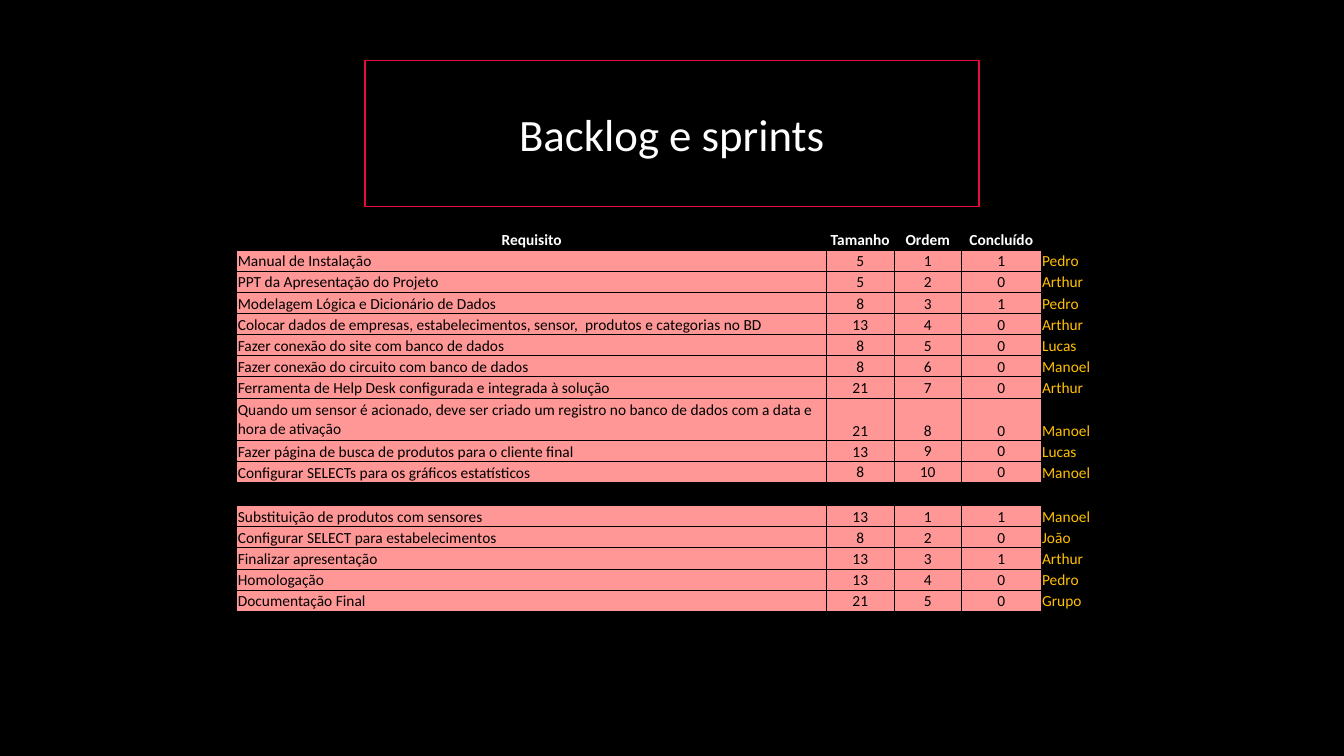
from lxml import etree
from pptx import Presentation
from pptx.dml.color import RGBColor
from pptx.enum import text
from pptx.oxml import ns
from pptx.util import Pt

BLACK = RGBColor(0x00, 0x00, 0x00)
WHITE = RGBColor(0xFF, 0xFF, 0xFF)
CRIMSON = RGBColor(0xE5, 0x0D, 0x3B)
SALMON = RGBColor(0xFF, 0x97, 0x97)
AMBER = RGBColor(0xFF, 0xC0, 0x00)
FONT = "Calibri"
ROW_HEIGHT = 15.12
COLUMN_WIDTHS = [421.2, 48.2, 48.2, 56.9, 48.2]
REQUIREMENT, OWNER = 0, 4

HEADER = ("Requisito", "Tamanho", "Ordem", "Concluído", "")
LONG_REQUIREMENT = ("Quando um sensor é acionado, deve ser criado um registro "
                    "no banco de dados com a data e hora de ativação")
FIRST_SPRINT = [
    HEADER,
    ("Manual de Instalação", 5, 1, 1, "Pedro"),
    ("PPT da Apresentação do Projeto", 5, 2, 0, "Arthur"),
    ("Modelagem Lógica e Dicionário de Dados", 8, 3, 1, "Pedro"),
    ("Colocar dados de empresas, estabelecimentos, sensor,  produtos e categorias no BD",
     13, 4, 0, "Arthur"),
    ("Fazer conexão do site com banco de dados", 8, 5, 0, "Lucas"),
    ("Fazer conexão do circuito com banco de dados", 8, 6, 0, "Manoel"),
    ("Ferramenta de Help Desk configurada e integrada à solução", 21, 7, 0, "Arthur"),
    (LONG_REQUIREMENT, 21, 8, 0, "Manoel"),
    ("Fazer página de busca de produtos para o cliente final", 13, 9, 0, "Lucas"),
    ("Configurar SELECTs para os gráficos estatísticos", 8, 10, 0, "Manoel"),
]
SECOND_SPRINT = [
    ("Substituição de produtos com sensores", 13, 1, 1, "Manoel"),
    ("Configurar SELECT para estabelecimentos", 8, 2, 0, "João"),
    ("Finalizar apresentação", 13, 3, 1, "Arthur"),
    ("Homologação", 13, 4, 0, "Pedro"),
    ("Documentação Final", 21, 5, 0, "Grupo"),
]


def add_border(cell, side, width):
    line = etree.SubElement(cell._tc.get_or_add_tcPr(), ns.qn(f"a:ln{side}"), w=str(Pt(width)))
    fill = etree.SubElement(line, ns.qn("a:solidFill"))
    etree.SubElement(fill, ns.qn("a:srgbClr"), val=str(BLACK))


def write(paragraph, words, size, color, bold=False):
    run = paragraph.add_run()
    run.text = words
    run.font.name = FONT
    run.font.size = Pt(size)
    run.font.bold = bold
    run.font.color.rgb = color


prs = Presentation()
prs.slide_width, prs.slide_height = Pt(960), Pt(540)
slide = prs.slides.add_slide(prs.slide_layouts[5])
slide.background.fill.solid()
slide.background.fill.fore_color.rgb = BLACK

# Framed title
title = slide.shapes.title
title.left, title.top, title.width, title.height = Pt(260.7), Pt(43.2), Pt(438.6), Pt(104.4)
title.fill.solid()
title.fill.fore_color.rgb = BLACK
title.line.color.rgb = CRIMSON
title.line.width = Pt(1)
title.text_frame.vertical_anchor = text.MSO_ANCHOR.MIDDLE
heading = title.text_frame.paragraphs[0]
heading.alignment = text.PP_ALIGN.CENTER
write(heading, "Backlog e sprints", 32, WHITE)

# One table per sprint
for top, sprint in ((163.4, FIRST_SPRINT), (361, SECOND_SPRINT)):
    backlog = slide.shapes.add_table(
        len(sprint), len(COLUMN_WIDTHS), Pt(169.2), Pt(top),
        Pt(sum(COLUMN_WIDTHS)), Pt(ROW_HEIGHT * len(sprint))).table
    backlog.first_row = backlog.horz_banding = False
    for column, width in zip(backlog.columns, COLUMN_WIDTHS):
        column.width = Pt(width)

    for r, item in enumerate(sprint):
        is_header = item is HEADER
        is_long = item[REQUIREMENT] == LONG_REQUIREMENT
        backlog.rows[r].height = Pt(ROW_HEIGHT * (2 if is_long else 1))
        for c, value in enumerate(item):
            cell = backlog.cell(r, c)
            cell.margin_left = cell.margin_right = cell.margin_top = Pt(0.7)
            cell.margin_bottom = 0

            # The outer frame is heavier than the inner grid
            outer = {"L": c == REQUIREMENT, "R": c == OWNER,
                     "T": is_header, "B": r == len(sprint) - 1}
            for side, heavy in outer.items():
                add_border(cell, side, 1 if heavy else 0.5)
            cell.fill.solid()
            cell.fill.fore_color.rgb = BLACK if is_header or c == OWNER else SALMON

            # Numbers of the last two requirements in the first sprint sit mid-row
            centred = (is_long and c == REQUIREMENT) or (
                sprint is FIRST_SPRINT and (r == 10 and 0 < c < OWNER or r == 9 and 1 < c < OWNER))
            cell.vertical_anchor = text.MSO_ANCHOR.MIDDLE if centred else text.MSO_ANCHOR.BOTTOM
            paragraph = cell.text_frame.paragraphs[0]
            if is_header or REQUIREMENT < c < OWNER:
                paragraph.alignment = text.PP_ALIGN.CENTER
            if value == "":
                etree.SubElement(paragraph._p, ns.qn("a:endParaRPr"), sz="1100")
            else:
                color = WHITE if is_header else AMBER if c == OWNER else BLACK
                write(paragraph, str(value), 11, color, is_header)

prs.save("out.pptx")
